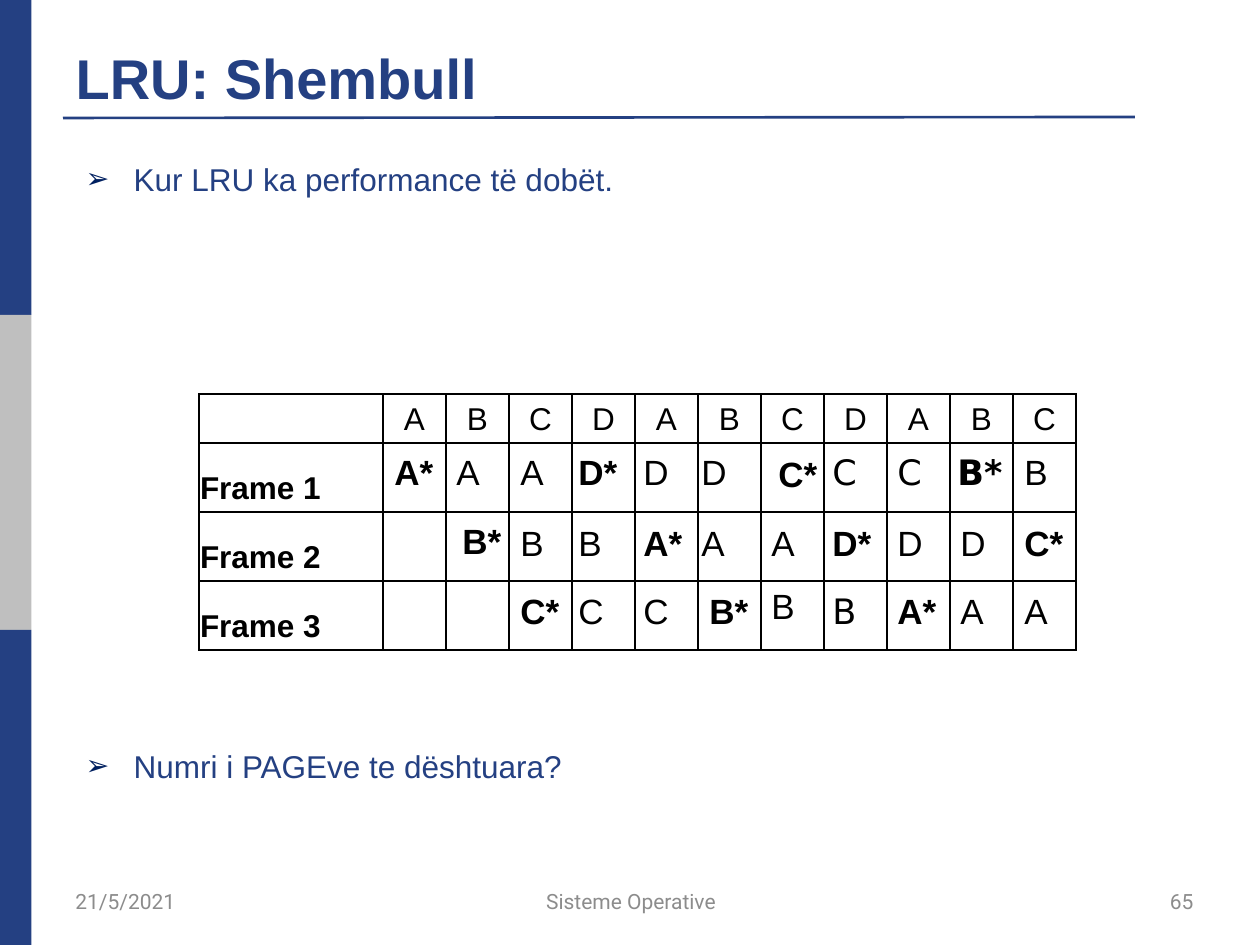
import pptx
import pptx.util
import pptx.dml.color
import pptx.enum.shapes
import pptx.enum.text
import pptx.oxml
import pptx.oxml.ns
import lxml.etree

RGB = pptx.dml.color.RGBColor
BLUE, GRAY = RGB(0x24, 0x40, 0x82), RGB(0xBF, 0xBF, 0xBF)
FOOTER_GRAY = RGB(0x8C, 0x8C, 0x8C)
BLACK, WHITE = RGB(0, 0, 0), RGB(255, 255, 255)
ALIGN, ANCHOR = pptx.enum.text.PP_ALIGN, pptx.enum.text.MSO_ANCHOR
AUTO = pptx.enum.text.MSO_AUTO_SIZE

# Content
TITLE = "LRU: Shembull"
BULLETS = [("Kur LRU ka performance të dobët.", 0), ("Numri i PAGEve te dështuara?", 314)]
FOOTERS = [("21/5/2021", 63, 256, ALIGN.LEFT),
           ("Sisteme Operative", 381, 500, ALIGN.CENTER),
           ("65", 883, 323, ALIGN.RIGHT)]
REQUESTS = "ABCDABCDABC"
FRAMES = [("Frame 1", ["A*", "A", "A", "D*", "D", "D", "C*", "C", "C", "B*", "B"]),
          ("Frame 2", ["", "B*", "B", "B", "A*", "A", "A", "D*", "D", "D", "C*"]),
          ("Frame 3", ["", "", "C*", "C", "C", "B*", "B", "B", "A*", "A", "A"])]

# Layout in px
TABLE_LEFT, TABLE_TOP = 199, 394
COLUMN_WIDTHS = [184] + [63] * len(REQUESTS)
ROW_HEIGHTS = [49] + [69] * len(FRAMES)
PAGE_LEFTS = [382, 444, 508, 566, 631, 689, 759, 820, 885, 948, 1012]
PAGE_TOPS = [444, 515, 583]
NUDGES = {(0, 6): (7, 2), (0, 9): (-3, 0), (1, 1): (6, -2), (2, 5): (8, 0), (2, 6): (0, -5)}
WIDE_FONT_PAGES = {(0, 7), (0, 8), (0, 9), (2, 7)}


def px(n):
    return pptx.util.Emu(round(n * 914400 / 126))


def place(shape, left, top, width, height):
    shape.left, shape.top, shape.width, shape.height = map(px, (left, top, width, height))


def style(paragraph, text, size, color, face="Arial", bold=False, align=ALIGN.LEFT):
    paragraph.text = text
    paragraph.alignment = align
    font = paragraph.font
    font.size, font.name, font.bold = pptx.util.Pt(size), face, bold
    font.color.rgb = color


def add_label(box, text, size, color, anchor=ANCHOR.TOP, auto=AUTO.NONE, **look):
    frame = slide.shapes.add_textbox(*map(px, box)).text_frame
    frame.word_wrap, frame.auto_size, frame.vertical_anchor = True, auto, anchor
    style(frame.paragraphs[0], text, size, color, **look)


def add_bullet(paragraph):
    props = paragraph._p.get_or_add_pPr()
    props.set("marL", str(px(48)))
    props.set("indent", str(-px(48)))
    for xml in ('<a:buClr %s><a:srgbClr val="002060"/></a:buClr>',
                '<a:buSzPct %s val="90000"/>',
                '<a:buFont %s typeface="Arial"/>',
                '<a:buChar %s char="➢"/>'):
        props.append(pptx.oxml.parse_xml(xml % pptx.oxml.ns.nsdecls("a")))


def format_cell(cell, text, bold=False, align=ALIGN.LEFT):
    cell.margin_left = cell.margin_right = cell.margin_top = px(1)
    cell.margin_bottom = px(6)
    cell.vertical_anchor = ANCHOR.BOTTOM
    style(cell.text_frame.paragraphs[0], text, 18, BLACK, bold=bold, align=align)
    props = cell._tc.get_or_add_tcPr()
    for side in ("lnL", "lnR", "lnT", "lnB"):
        props.append(pptx.oxml.parse_xml(
            f'<a:{side} {pptx.oxml.ns.nsdecls("a")} w="12700"><a:solidFill>'
            f'<a:srgbClr val="{BLACK}"/></a:solidFill></a:{side}>'))
    cell.fill.solid()
    cell.fill.fore_color.rgb = WHITE


deck = pptx.Presentation()
deck.slide_width, deck.slide_height = px(1260), px(945)
slide = deck.slides.add_slide(deck.slide_layouts[1])

# Side bands and title rule
for i, color in enumerate((BLUE, GRAY, BLUE)):
    band = slide.shapes.add_shape(pptx.enum.shapes.MSO_SHAPE.RECTANGLE,
                                  *map(px, (0, 315 * i, 31.5, 315)))
    band.shadow.inherit = False
    band.fill.solid()
    band.fill.fore_color.rgb = color
    band.line.fill.background()
rule = slide.shapes.add_connector(pptx.enum.shapes.MSO_CONNECTOR.STRAIGHT,
                                  *map(px, (63, 118, 1135, 117)))
rule.line.color.rgb = BLUE
rule.line.width = pptx.util.Pt(1.5)
lxml.etree.SubElement(rule._element.spPr, pptx.oxml.ns.qn("a:effectLst"))

# Title and list
title = slide.shapes.title
place(title, 63, 38, 1072, 79)
title.text_frame.auto_size = AUTO.NONE
title.text_frame.vertical_anchor = ANCHOR.BOTTOM
style(title.text_frame.paragraphs[0], TITLE, 32, BLUE, bold=True)

body = slide.placeholders[1]
place(body, 73, 151, 1072, 688)
body.text_frame.auto_size = AUTO.NONE
body.text_frame.margin_top = px(9)
for i, (text, gap) in enumerate(BULLETS):
    paragraph = body.text_frame.paragraphs[0] if i == 0 else body.text_frame.add_paragraph()
    style(paragraph, text, 18, BLUE)
    paragraph.space_before = pptx.util.Pt(gap)
    add_bullet(paragraph)

# Footer
for text, left, width, align in FOOTERS:
    add_label((left, 876, width, 50), text, 12, FOOTER_GRAY, anchor=ANCHOR.MIDDLE,
              face="Roboto", align=align)

# Frame table
table = slide.shapes.add_table(
    len(ROW_HEIGHTS), len(COLUMN_WIDTHS),
    *map(px, (TABLE_LEFT, TABLE_TOP, sum(COLUMN_WIDTHS), sum(ROW_HEIGHTS)))).table
for column, width in zip(table.columns, COLUMN_WIDTHS):
    column.width = px(width)
for row, height in zip(table.rows, ROW_HEIGHTS):
    row.height = px(height)
rows = [["", *REQUESTS]] + [[name] + [""] * len(REQUESTS) for name, _ in FRAMES]
for r, row in enumerate(rows):
    for c, text in enumerate(row):
        format_cell(table.cell(r, c), text, bold=r > 0 and c == 0,
                    align=ALIGN.CENTER if r == 0 else ALIGN.LEFT)

# Pages held in each frame, faults in bold
for r, (_, pages) in enumerate(FRAMES):
    for c, page in enumerate(pages):
        if page:
            dx, dy = NUDGES.get((r, c), (0, 0))
            width = 92 if (r, c) == (0, 9) else 64
            add_label((PAGE_LEFTS[c] + dx, PAGE_TOPS[r] + dy, width, 55), page, 20, BLACK,
                      auto=AUTO.SHAPE_TO_FIT_TEXT, bold=page.endswith("*"),
                      face="DejaVu Sans" if (r, c) in WIDE_FONT_PAGES else "Arial")

deck.save("out.pptx")
